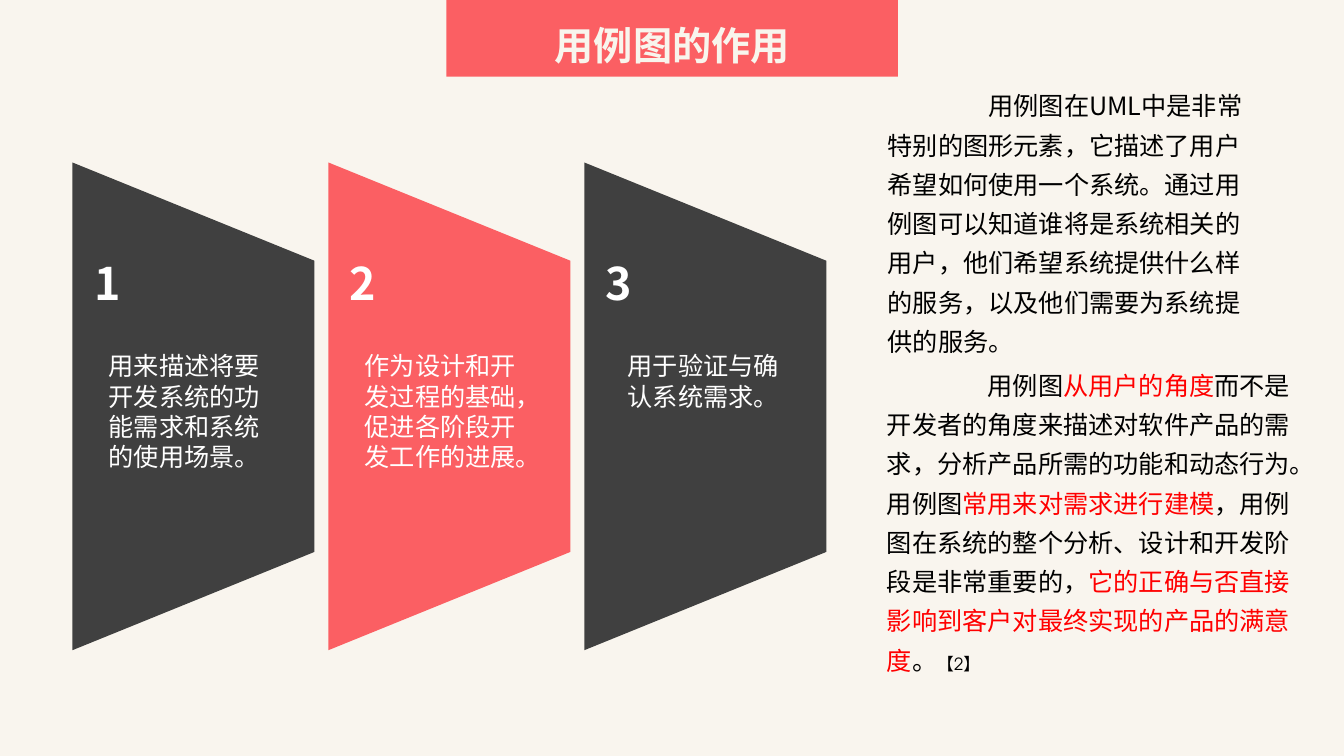
from pptx import Presentation
from pptx.dml.color import RGBColor
from pptx.enum.shapes import MSO_SHAPE
from pptx.enum.text import MSO_ANCHOR, MSO_AUTO_SIZE, PP_ALIGN
from pptx.oxml.ns import qn
from pptx.util import Cm, Pt
from lxml.etree import SubElement

CREAM = RGBColor(0xF9, 0xF5, 0xEE)
TITLE_CREAM = RGBColor(0xF8, 0xF5, 0xED)
CORAL = RGBColor(0xFB, 0x5F, 0x63)
CHARCOAL = RGBColor(0x40, 0x40, 0x40)
WHITE = RGBColor(0xFF, 0xFF, 0xFF)
BLACK = RGBColor(0, 0, 0)
RED = RGBColor(0xFF, 0, 0)

CJK_FONT = "Noto Sans CJK SC"
LATIN_FONT = "TeX Gyre Adventor"
PANEL_STEP = 6.45

PANELS = [
    (CHARCOAL, "用来描述将要开发系统的功能需求和系统的使用场景。", 2.49, 4.75),
    (CORAL, "作为设计和开发过程的基础，促进各阶段开发工作的进展。", 8.94, 4.72),
    (CHARCOAL, "用于验证与确认系统需求。", 15.57, 4.37),
]
INTRO = (
    "用例图在UML中是非常特别的图形元素，它描述了用户希望如何使用一个系统。"
    "通过用例图可以知道谁将是系统相关的用户，他们希望系统提供什么样的服务，"
    "以及他们需要为系统提供的服务。"
)
PURPOSE = [
    ("用例图", BLACK, 18),
    ("从用户的角度", RED, 18),
    ("而不是开发者的角度来描述对软件产品的需求，分析产品所需的功能和动态行为。用例图", BLACK, 18),
    ("常用来对需求进行建模", RED, 18),
    ("，用例图在系统的整个分析、设计和开发阶段是非常重要的，", BLACK, 18),
    ("它的正确与否直接影响到客户对最终实现的产品的满意度", RED, 18),
    ("。", BLACK, 18),
    ("【2】", BLACK, 12),
]


def add_text(p, text, size=18, color=WHITE, bold=False, font=CJK_FONT):
    r = p.add_run()
    r.text = text
    r.font.size = Pt(size)
    r.font.bold = bold
    r.font.color.rgb = color
    r.font.name = font
    SubElement(r.font._element, qn("a:ea"), typeface=CJK_FONT)


def add_box(slide, left, top, width, height, wrap=True):
    sp = slide.shapes.add_textbox(Cm(left), Cm(top), Cm(width), Cm(height))
    tf = sp.text_frame
    tf.word_wrap = wrap
    return tf.paragraphs[0]


def add_body(slide, left, top, width, height):
    p = add_box(slide, left, top, width, height)
    p.line_spacing = 1.3
    p._p.get_or_add_pPr().set("indent", str(Cm(2.54)))
    return p


def add_title(slide, text):
    sp = slide.shapes.title
    sp.left, sp.top, sp.width, sp.height = Cm(11.25), Cm(0), Cm(11.38), Cm(1.93)
    sp.fill.solid()
    sp.fill.fore_color.rgb = CORAL
    tf = sp.text_frame
    tf.auto_size = MSO_AUTO_SIZE.NONE
    tf.vertical_anchor = MSO_ANCHOR.MIDDLE
    p = tf.paragraphs[0]
    p.alignment = PP_ALIGN.CENTER
    p.line_spacing = 1.3
    add_text(p, text, size=28, color=TITLE_CREAM, bold=True)


def add_panel(slide, index, color, text, text_left, text_width):
    shift = index * PANEL_STEP
    sp = slide.shapes.add_shape(
        MSO_SHAPE.TRAPEZOID, Cm(shift - 1.27), Cm(7.19), Cm(12.29), Cm(6.1)
    )
    sp.rotation = 90
    sp.adjustments[0] = 0.406
    sp.shadow.inherit = False
    sp.fill.solid()
    sp.fill.fore_color.rgb = color
    sp.line.fill.background()
    add_text(add_box(slide, text_left, 8.71, text_width, 3.33), text)
    number = add_box(slide, 2.12 + shift, 6.32, 1.19, 1.63, wrap=False)
    add_text(number, str(index + 1), size=32, bold=True)


def main():
    prs = Presentation()
    prs.slide_width, prs.slide_height = Cm(33.87), Cm(19.05)
    slide = prs.slides.add_slide(prs.slide_layouts[5])
    slide.background.fill.solid()
    slide.background.fill.fore_color.rgb = CREAM

    add_title(slide, "用例图的作用")
    for index, panel in enumerate(PANELS):
        add_panel(slide, index, *panel)

    add_text(add_body(slide, 22.12, 1.93, 9.68, 7.24), INTRO, color=BLACK)
    p = add_body(slide, 22.1, 8.97, 11.23, 8.26)
    for text, color, size in PURPOSE:
        add_text(p, text, size=size, color=color, font=LATIN_FONT)

    prs.save("out.pptx")


if __name__ == "__main__":
    main()
